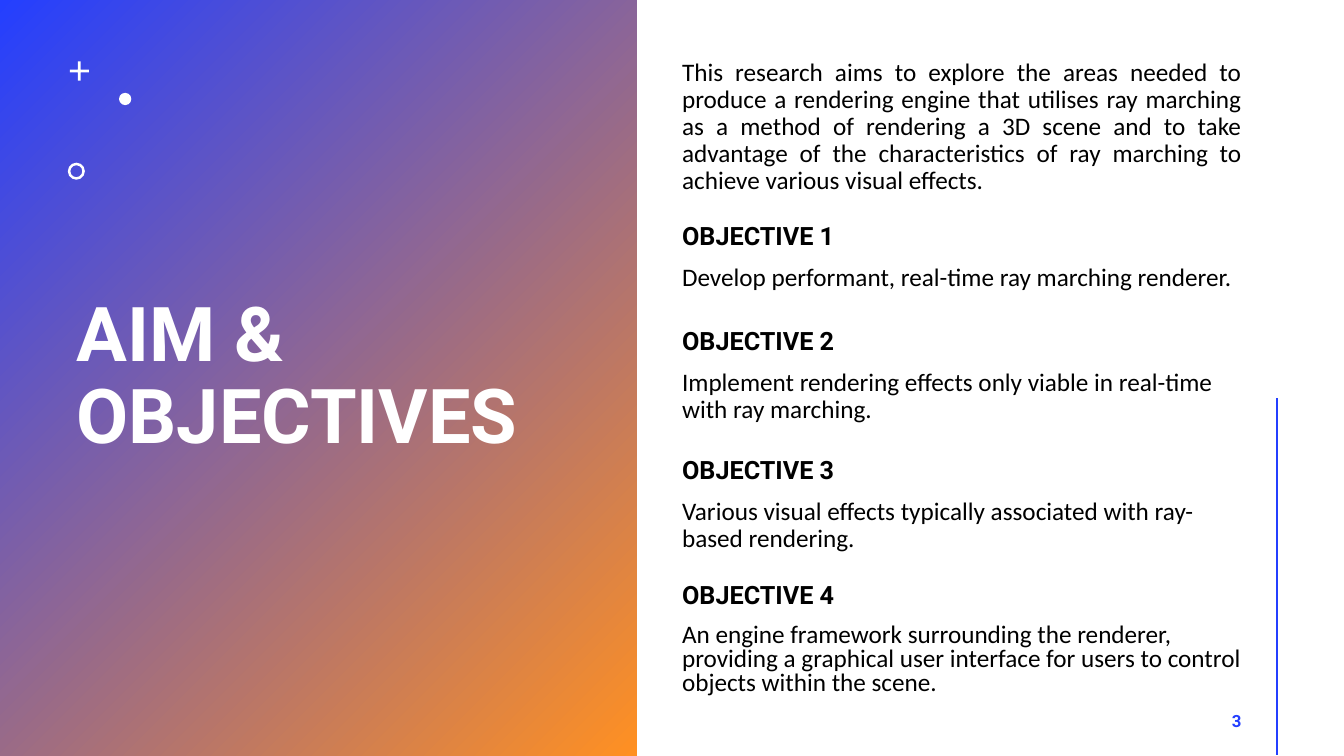
from lxml.etree import SubElement
from pptx import Presentation
from pptx.dml.color import RGBColor
from pptx.enum.shapes import MSO_CONNECTOR, MSO_SHAPE as SHAPE
from pptx.enum.text import MSO_ANCHOR as ANCHOR, PP_ALIGN as ALIGN
from pptx.oxml.ns import qn
from pptx.util import Cm, Pt

BLUE = RGBColor(0x24, 0x3F, 0xFF)
ORANGE = RGBColor(0xFF, 0x90, 0x22)
WHITE = RGBColor(0xFF, 0xFF, 0xFF)
BLACK = RGBColor(0, 0, 0)
HEADING_FONT = "Roboto"
BODY_FONT = "Calibri"

AIM = (
    "This research aims to explore the areas needed to produce a rendering engine "
    "that utilises ray marching as a method of rendering a 3D scene and to take "
    "advantage of the characteristics of ray marching to achieve various visual effects."
)
OBJECTIVES = [
    (5.51, 2.62, 0.9, "Develop performant, real-time ray marching renderer."),
    (8.15, 2.72, 0.9,
     "Implement rendering effects only viable in real-time with ray marching."),
    (11.4, 2.72, 0.9,
     "Various visual effects typically associated with ray-based rendering."),
    (14.63, 3.23, 0.8,
     "An engine framework surrounding the renderer, providing a graphical user "
     "interface for users to control objects within the scene."),
]


def add_frame(page, left, top, width, height, anchor=ANCHOR.TOP):
    box = page.shapes.add_textbox(Cm(left), Cm(top), Cm(width), Cm(height))
    frame = box.text_frame
    frame.word_wrap = True
    frame.vertical_anchor = anchor
    return frame


def add_span(para, text, font_name, size=18, color=BLACK, bold=False):
    span = para.add_run()
    span.text = text
    span.font.name = font_name
    span.font.size = Pt(size)
    span.font.color.rgb = color
    span.font.bold = bold
    return span


def add_solid(page, kind, left, top, size, adjustment=None):
    shape = page.shapes.add_shape(kind, Cm(left), Cm(top), Cm(size), Cm(size))
    shape.shadow.inherit = False
    shape.fill.solid()
    shape.fill.fore_color.rgb = WHITE
    shape.line.fill.background()
    if adjustment is not None:
        shape.adjustments[0] = adjustment


def add_title_panel(page, left, top, width, height):
    panel = page.shapes.add_shape(
        SHAPE.RECTANGLE, Cm(left), Cm(top), Cm(width), Cm(height))
    panel.shadow.inherit = False
    panel.line.fill.background()
    panel.fill.gradient()
    panel.fill.gradient_angle = 315
    for stop, color, position in zip(panel.fill.gradient_stops, (BLUE, ORANGE), (0, 1)):
        stop.color.rgb = color
        stop.position = position

    frame = add_frame(page, left + 1.68, top, width - 1.67, height, ANCHOR.MIDDLE)
    para = frame.paragraphs[0]
    para.line_spacing = 0.9
    add_span(para, "AIM &", HEADING_FONT, 54, WHITE, True)
    para.add_line_break()
    add_span(para, "OBJECTIVES", HEADING_FONT, 54, WHITE, True)

    add_solid(page, SHAPE.CROSS, left + 1.76, top + 1.55, 0.48, 0.43)
    add_solid(page, SHAPE.OVAL, left + 3, top + 2.34, 0.31)
    add_solid(page, SHAPE.DONUT, left + 1.71, top + 4.1, 0.43, 0.15)


def add_aim(page, left, top, width, height):
    para = add_frame(page, left, top, width, height).paragraphs[0]
    para.alignment = ALIGN.JUSTIFY
    para.line_spacing = 0.9
    add_span(para, AIM, BODY_FONT)


def add_objective(page, left, top, width, height, number, spacing, text):
    frame = add_frame(page, left, top, width, height)
    heading = frame.paragraphs[0]
    heading.line_spacing = spacing
    add_span(heading, f"OBJECTIVE {number}", HEADING_FONT, bold=True)
    para = frame.add_paragraph()
    para.line_spacing = spacing
    para.space_before = Pt(10)
    add_span(para, text, BODY_FONT)


def add_page_number(page, left, top, width, height):
    para = add_frame(page, left, top, width, height, ANCHOR.MIDDLE).paragraphs[0]
    para.alignment = ALIGN.RIGHT
    para.space_after = Pt(6)
    span = add_span(para, "3", HEADING_FONT, 12, BLUE, True)
    span.font._element.set("spc", "100")


def add_side_rule(page, left, top, height):
    rule = page.shapes.add_connector(
        MSO_CONNECTOR.STRAIGHT, Cm(left), Cm(top), Cm(left), Cm(top + height))
    rule.line.color.rgb = BLUE
    rule.line.width = Pt(2)
    SubElement(rule._element.spPr, qn("a:effectLst"))


def add_content(page, left, width):
    add_aim(page, left, 1.37, width, 3.78)
    for number, (top, height, spacing, text) in enumerate(OBJECTIVES, 1):
        add_objective(page, left, top, width, height, number, spacing, text)
    add_page_number(page, left + width - 7.62, 17.65, 7.62, 1.02)
    add_side_rule(page, left + width + 0.64, 10.03, 9)


def main():
    deck = Presentation()
    deck.slide_width = Cm(33.87)
    deck.slide_height = Cm(19.05)
    page = deck.slides.add_slide(deck.slide_layouts[6])
    add_title_panel(page, 0, 0, 16.05, 19.05)
    add_content(page, 16.94, 14.6)
    deck.save("out.pptx")


if __name__ == "__main__":
    main()
